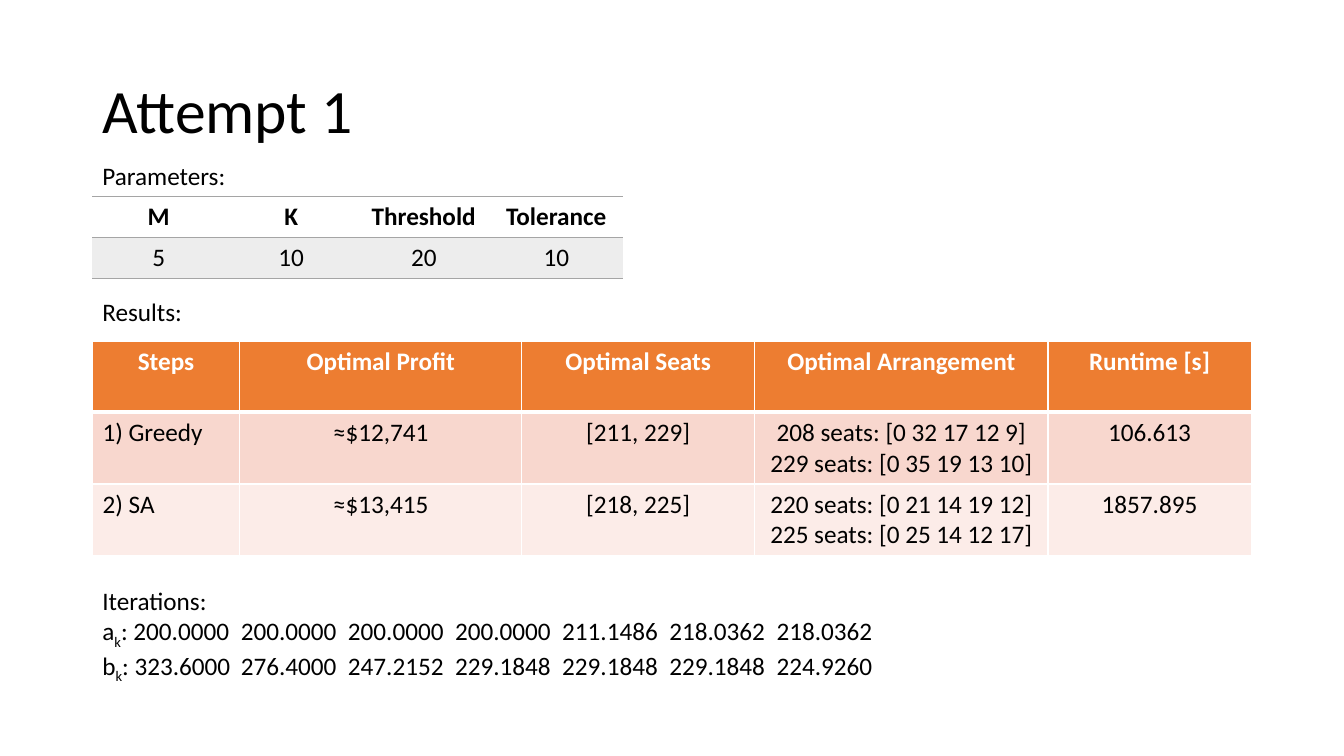
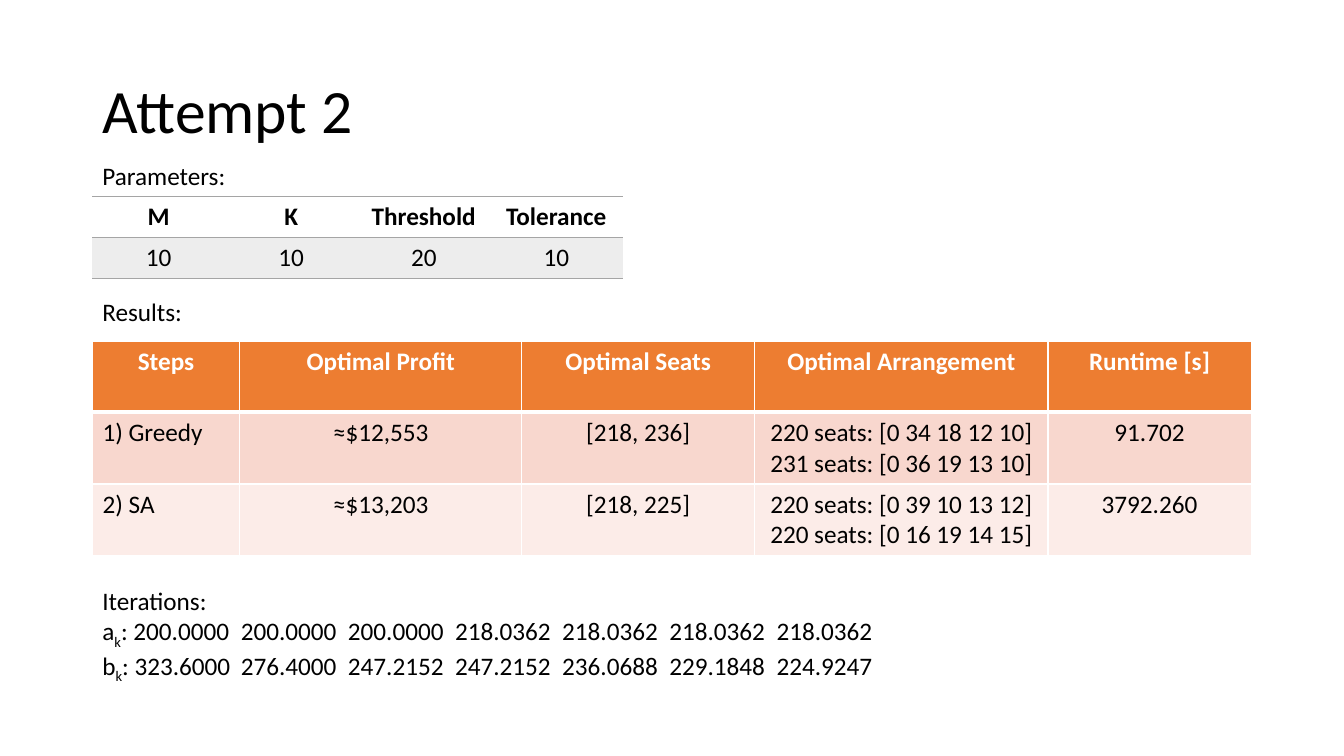
import dataclasses
import typing

import lxml.etree
import pptx
import pptx.dml.color
import pptx.enum.text
import pptx.oxml.ns
import pptx.util

Cm = pptx.util.Cm
ALIGN = pptx.enum.text.PP_ALIGN
ANCHOR = pptx.enum.text.MSO_ANCHOR
qn = pptx.oxml.ns.qn

COLORS = {
    "text": "000000",
    "white": "FFFFFF",
    "rule": "A5A5A5",
    "parameter": "EDEDED",
    "header": "ED7D31",
    "greedy": "F8D7CE",
    "annealing": "FCECE8",
}
FONT = "Calibri"
LEFT = 2.33
CONTENT_WIDTH = 29.21
LABEL_WIDTH = 10.36
FIRST_TAB = 3.49
TAB_STEP = 2.7
PARAMETER_NAMES = ["M", "K", "Threshold", "Tolerance"]
RESULT_NAMES = ["Steps", "Optimal Profit", "Optimal Seats", "Optimal Arrangement", "Runtime [s]"]
RESULT_WIDTHS = [3.71, 7.11, 5.87, 7.39, 5.12]


class Border(typing.NamedTuple):
    color: str
    width: float


@dataclasses.dataclass(frozen=True)
class RowStyle:
    color: str = "text"
    bold: bool = False
    fill: typing.Optional[str] = None
    borders: dict[str, Border] = dataclasses.field(default_factory=dict)
    first_align: ALIGN = ALIGN.CENTER


@dataclasses.dataclass(frozen=True)
class Attempt:
    title: str
    parameters: list[str]
    greedy: list[str]
    annealing: list[str]
    lower: list[str]
    upper: list[str]


GRAY_RULE = Border("rule", 1)
THIN_WHITE = Border("white", 1)
WHITE_GRID = {side: THIN_WHITE for side in "LRTB"}
HEADER_GRID = WHITE_GRID | {"B": Border("white", 3)}
PARAMETER_STYLES = [
    RowStyle(bold=True, borders={"T": GRAY_RULE, "B": GRAY_RULE}),
    RowStyle(fill="parameter", borders={"T": GRAY_RULE, "B": GRAY_RULE}),
]
RESULT_STYLES = [
    RowStyle("white", True, "header", HEADER_GRID),
    RowStyle(fill="greedy", borders=WHITE_GRID | {"T": Border("white", 3)}, first_align=ALIGN.LEFT),
    RowStyle(fill="annealing", borders=WHITE_GRID, first_align=ALIGN.LEFT),
]

ATTEMPTS = [
    Attempt(
        "Attempt 1",
        ["5", "10", "20", "10"],
        ["1) Greedy", "≈$12,741", "[211, 229]",
         "208 seats: [0 32 17 12 9]\n229 seats: [0 35 19 13 10]", "106.613"],
        ["2) SA", "≈$13,415", "[218, 225]",
         "220 seats: [0 21 14 19 12]\n225 seats: [0 25 14 12 17]", "1857.895"],
        ["200.0000", "200.0000", "200.0000", "200.0000", "211.1486", "218.0362", "218.0362"],
        ["323.6000", "276.4000", "247.2152", "229.1848", "229.1848", "229.1848", "224.9260"],
    ),
    Attempt(
        "Attempt 2",
        ["10", "10", "20", "10"],
        ["1) Greedy", "≈$12,553", "[218, 236]",
         "220 seats: [0 34 18 12 10]\n231 seats: [0 36 19 13 10]", "91.702"],
        ["2) SA", "≈$13,203", "[218, 225]",
         "220 seats: [0 39 10 13 12]\n220 seats: [0 16 19 14 15]", "3792.260"],
        ["200.0000", "200.0000", "200.0000", "218.0362", "218.0362", "218.0362", "218.0362"],
        ["323.6000", "276.4000", "247.2152", "247.2152", "236.0688", "229.1848", "224.9247"],
    ),
]


def rgb(name: str) -> pptx.dml.color.RGBColor:
    return pptx.dml.color.RGBColor.from_string(COLORS[name])


def write(paragraph, text: str, *, size: float = 18, color: str = "text", bold: bool = False,
          align: ALIGN = ALIGN.LEFT, subscript: bool = False) -> None:
    paragraph.alignment = align
    run = paragraph.add_run()
    run.text = text
    run.font.name = FONT
    run.font.size = pptx.util.Pt(size)
    run.font.bold = bold
    run.font.color.rgb = rgb(color)
    if subscript:
        run._r.get_or_add_rPr().set("baseline", "-25000")


def set_borders(cell, borders: dict[str, Border]) -> None:
    properties = cell._tc.get_or_add_tcPr()
    for side in "LRTB":
        line = lxml.etree.SubElement(properties, qn(f"a:ln{side}"))
        border = borders.get(side)
        if border is None:
            lxml.etree.SubElement(line, qn("a:noFill"))
            continue
        line.set("w", str(pptx.util.Pt(border.width)))
        fill = lxml.etree.SubElement(line, qn("a:solidFill"))
        lxml.etree.SubElement(fill, qn("a:srgbClr"), val=COLORS[border.color])


def add_grid(slide, top: float, widths: list[float], row_height: float,
             rows: list[list[str]], styles: list[RowStyle]) -> None:
    table = slide.shapes.add_table(len(rows), len(widths), Cm(LEFT), Cm(top),
                                   Cm(sum(widths)), Cm(row_height * len(rows))).table
    table.horz_banding = False
    for column, width in zip(table.columns, widths):
        column.width = Cm(width)
    for row, values, style in zip(table.rows, rows, styles):
        row.height = Cm(row_height)
        for index, (cell, value) in enumerate(zip(row.cells, values)):
            set_borders(cell, style.borders)
            if style.fill:
                cell.fill.solid()
                cell.fill.fore_color.rgb = rgb(style.fill)
            else:
                cell.fill.background()
            align = ALIGN.CENTER if index else style.first_align
            for number, text in enumerate(value.split("\n")):
                frame = cell.text_frame
                paragraph = frame.add_paragraph() if number else frame.paragraphs[0]
                write(paragraph, text, color=style.color, bold=style.bold, align=align)


def add_label(slide, text: str, top: float, width: float = LABEL_WIDTH, height: float = 1.03):
    frame = slide.shapes.add_textbox(Cm(LEFT), Cm(top), Cm(width), Cm(height)).text_frame
    frame.word_wrap = True
    write(frame.paragraphs[0], text)
    return frame


def add_sequence(frame, symbol: str, values: list[str]) -> None:
    paragraph = frame.add_paragraph()
    write(paragraph, symbol)
    write(paragraph, "k", subscript=True)
    write(paragraph, ": " + "\t".join(values))
    stops = lxml.etree.SubElement(paragraph._p.get_or_add_pPr(), qn("a:tabLst"))
    for index in range(len(values) - 1):
        position = Cm(FIRST_TAB + TAB_STEP * index)
        lxml.etree.SubElement(stops, qn("a:tab"), pos=str(position), algn="l")


def add_title(slide, text: str) -> None:
    title = slide.shapes.title
    title.left, title.top = Cm(LEFT), Cm(1.01)
    title.width, title.height = Cm(CONTENT_WIDTH), Cm(3.68)
    title.text_frame.vertical_anchor = ANCHOR.MIDDLE
    paragraph = title.text_frame.paragraphs[0]
    paragraph.line_spacing = 0.9
    write(paragraph, text, size=44)


def add_attempt(presentation, attempt: Attempt) -> None:
    slide = presentation.slides.add_slide(presentation.slide_layouts.get_by_name("Title Only"))
    add_title(slide, attempt.title)
    add_grid(slide, 4.95, [3.34] * len(PARAMETER_NAMES), 1.03,
             [PARAMETER_NAMES, attempt.parameters], PARAMETER_STYLES)
    add_grid(slide, 8.61, RESULT_WIDTHS, 1.78,
             [RESULT_NAMES, attempt.greedy, attempt.annealing], RESULT_STYLES)
    add_label(slide, "Parameters:", 3.92)
    add_label(slide, "Results:", 7.34)
    iterations = add_label(slide, "Iterations:", 14.63, CONTENT_WIDTH, 2.58)
    add_sequence(iterations, "a", attempt.lower)
    add_sequence(iterations, "b", attempt.upper)


def main() -> None:
    presentation = pptx.Presentation()
    presentation.slide_width, presentation.slide_height = Cm(33.87), Cm(19.05)
    for attempt in ATTEMPTS:
        add_attempt(presentation, attempt)
    presentation.save("out.pptx")


if __name__ == "__main__":
    main()
